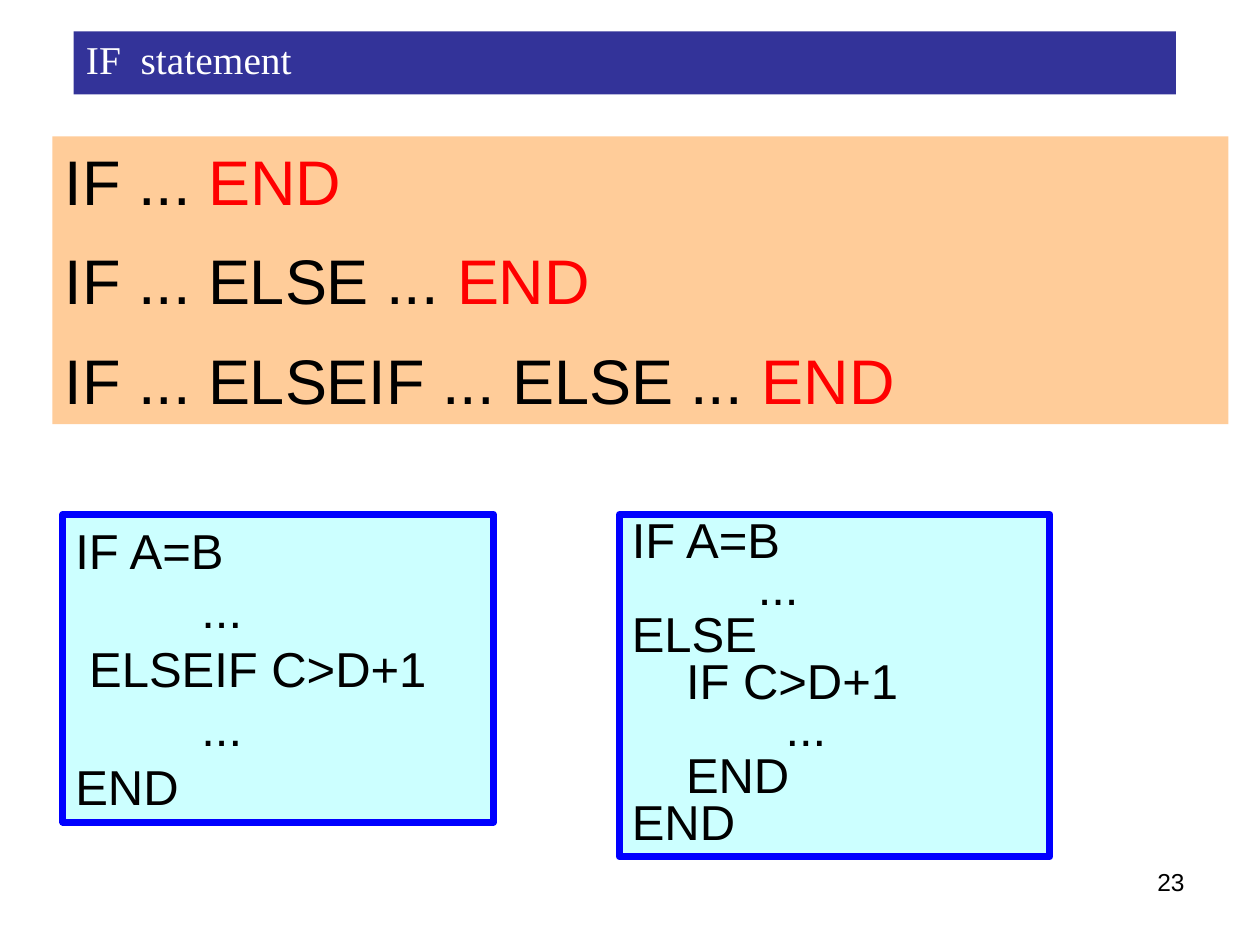
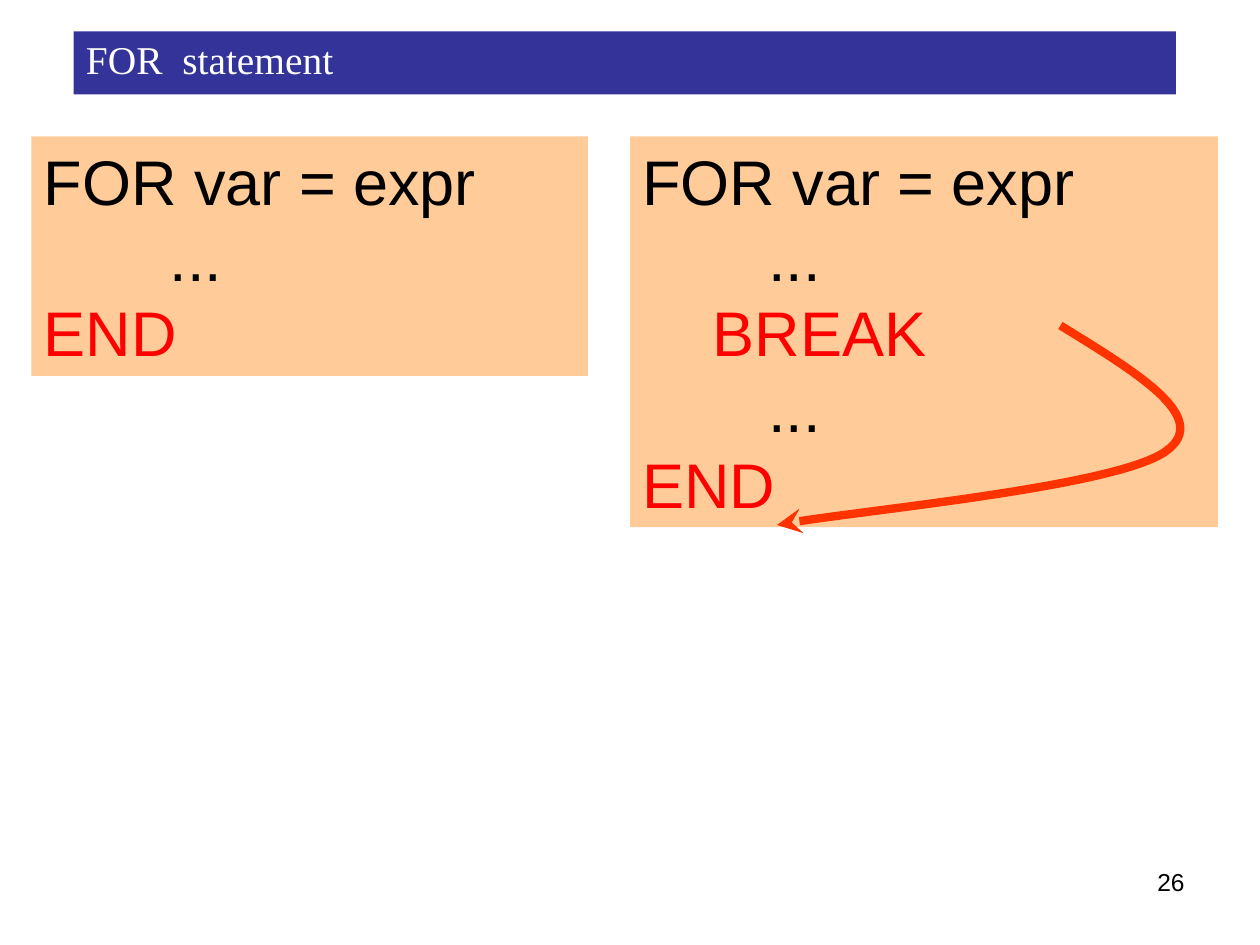
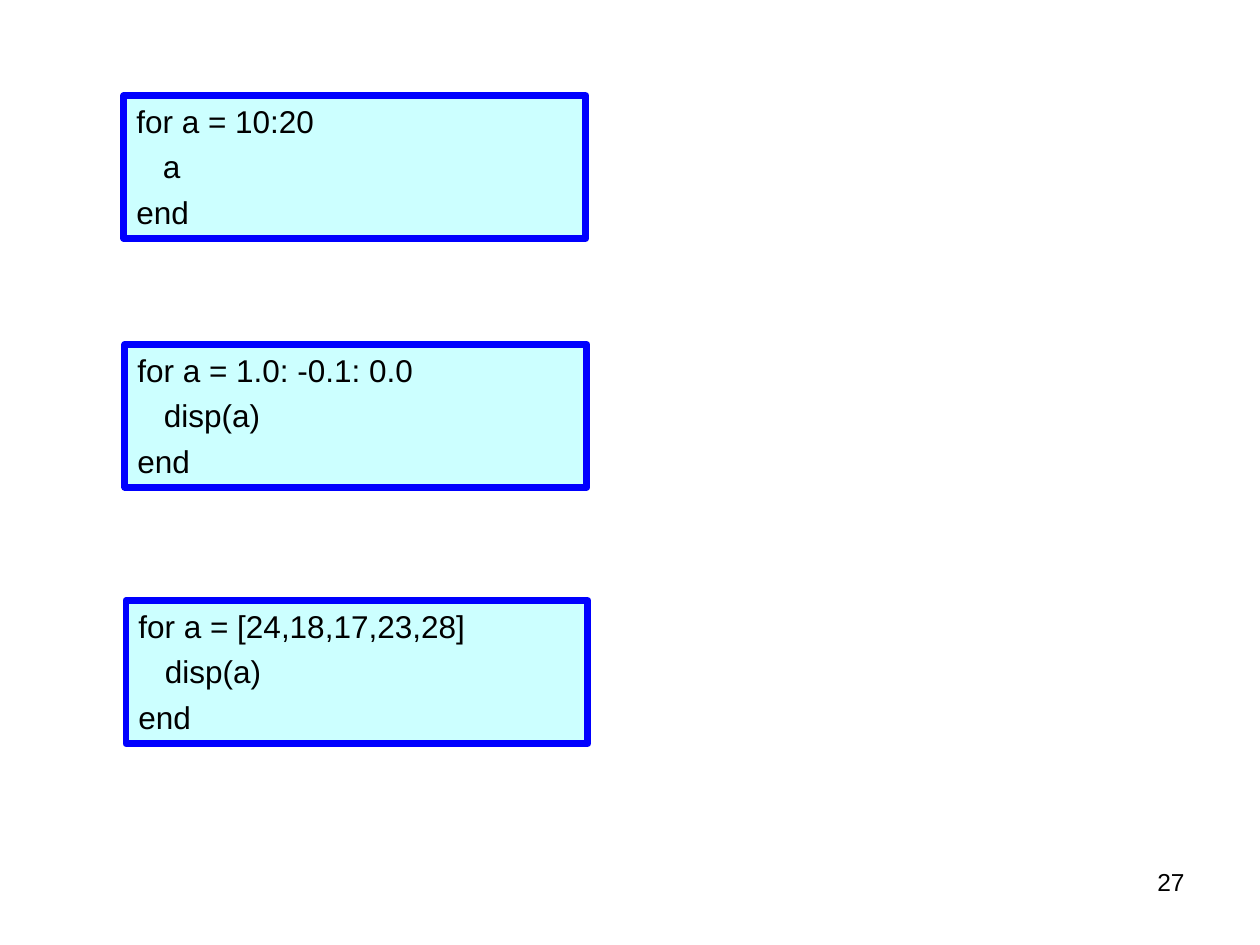
"""Build three slides on the IF and FOR statements of a programming language."""
from dataclasses import dataclass
from typing import Optional

from lxml.etree import SubElement
from pptx import Presentation
from pptx.dml.color import RGBColor
from pptx.enum.shapes import MSO_SHAPE as Preset
from pptx.enum.text import MSO_ANCHOR as Anchor, MSO_AUTO_SIZE as AutoSize, PP_ALIGN as Align
from pptx.oxml.ns import qn
from pptx.shapes.autoshape import Shape
from pptx.slide import Slide
from pptx.text.text import TextFrame
from pptx.util import Emu, Inches, Pt

COLORS = {
    "title": "333399", "syntax": "FFCC99", "code": "CCFFFF", "border": "0000FF",
    "text": "000000", "keyword": "FF0000", "light": "FFFFFF", "jump": "FF3300",
}
WIDTH, HEIGHT = Inches(10), Inches(7.5)
COLUMNS, ROWS = 120, 90
BLANK_LAYOUT = 6
TAB = 1.0


@dataclass(frozen=True)
class Area:
    """Place and size in grid columns and rows."""
    column: float
    row: float
    width: float
    height: float


@dataclass(frozen=True)
class Line:
    """One line of code: plain text, a red keyword and an indent in inches."""
    text: str = ""
    keyword: str = ""
    indent: float = 0


@dataclass(frozen=True)
class Style:
    """Look of a text panel."""
    fill: str
    size: float
    border: Optional[str] = None
    before: float = 0
    spacing: float = 1


@dataclass(frozen=True)
class Panel:
    """A filled rectangle holding lines of code."""
    area: Area
    style: Style
    lines: tuple[Line, ...]


@dataclass(frozen=True)
class Page:
    """The content of one slide."""
    number: int
    panels: tuple[Panel, ...]
    title: str = ""
    jump: tuple[tuple[float, float], ...] = ()


SYNTAX = Style("syntax", 36)
SPACED_SYNTAX = Style("syntax", 36, before=13.5)
CODE = Style("code", 28, "border")
TIGHT_CODE = Style("code", 28, "border", spacing=0.8)
SMALL_CODE = Style("code", 18, "border", before=4.5)

TITLE_AREA = Area(7, 3, 105, 6)
NUMBER_AREA = Area(86, 82, 28, 6.25)
DOTS = Line("...", indent=TAB)

LOOPS = (
    (9.1, "for a = 10:20", "a"),
    (32.8, "for a = 1.0: -0.1: 0.0", "disp(a)"),
    (57.2, "for a = [24,18,17,23,28]", "disp(a)"),
)

PAGES = (
    Page(23, (
        Panel(Area(5, 13, 112, 27.4), SPACED_SYNTAX, (
            Line("IF ... ", "END"),
            Line("IF ... ELSE ... ", "END"),
            Line("IF ... ELSEIF ... ELSE ... ", "END"),
        )),
        Panel(Area(6, 49, 41, 29.3), CODE, (
            Line("IF A=B"), DOTS, Line("ELSEIF C>D+1", indent=0.11), DOTS, Line("END"),
        )),
        Panel(Area(59, 49, 41, 32.6), TIGHT_CODE, (
            Line("IF A=B"), DOTS, Line("ELSE"), Line("IF C>D+1", indent=0.43),
            Line("...", indent=1.22), Line("END", indent=0.43), Line("END"),
        )),
    ), "IF  statement"),
    Page(26, (
        Panel(Area(3, 13, 53, 22.8), SYNTAX, (
            Line("FOR var = expr"), DOTS, Line(keyword="END"),
        )),
        Panel(Area(60, 13, 56, 37.2), SYNTAX, (
            Line("FOR var = expr"), DOTS, Line(keyword="BREAK", indent=0.56), DOTS,
            Line(keyword="END"),
        )),
    ), "FOR  statement", (
        (101, 31), (108.1, 35.4), (115.6, 39.8), (111, 43),
        (106.5, 46.2), (80.2, 48.8), (74, 50),
    )),
    Page(27, tuple(
        Panel(Area(11.8 + 0.1 * index, row, 44, 13.6), SMALL_CODE,
              (Line(head), Line(body, indent=0.21), Line("end")))
        for index, (row, head, body) in enumerate(LOOPS)
    )),
)


def rgb(name: str) -> RGBColor:
    """Return a palette colour."""
    return RGBColor.from_string(COLORS[name])


def grid_x(column: float) -> Emu:
    """Turn columns into a length."""
    return Emu(round(WIDTH * column / COLUMNS))


def grid_y(row: float) -> Emu:
    """Turn rows into a length."""
    return Emu(round(HEIGHT * row / ROWS))


def bounds(area: Area) -> tuple[Emu, Emu, Emu, Emu]:
    """Return left, top, width and height of an area."""
    return grid_x(area.column), grid_y(area.row), grid_x(area.width), grid_y(area.height)


def write_text(frame: TextFrame, *lines: Line, size: float, color: str = "text",
               font: str = "Arial", align: Align = Align.LEFT, anchor: Anchor = Anchor.TOP,
               before: float = 0, spacing: float = 1) -> None:
    """Write lines into a text frame with one format."""
    frame.word_wrap = True
    frame.vertical_anchor = anchor
    for index, line in enumerate(lines):
        paragraph = frame.add_paragraph() if index else frame.paragraphs[0]
        paragraph.alignment = align
        paragraph.space_before = Pt(before)
        paragraph.line_spacing = spacing
        if line.indent:
            properties = paragraph._p.get_or_add_pPr()
            properties.set("marL", str(Inches(line.indent)))
            properties.set("indent", "0")
        for text, run_color in ((line.text, color), (line.keyword, "keyword")):
            if text:
                run = paragraph.add_run()
                run.text = text
                run.font.name = font
                run.font.size = Pt(size)
                run.font.color.rgb = rgb(run_color)


def add_box(slide: Slide, area: Area, fill: str, border: Optional[str] = None) -> Shape:
    """Add a filled rectangle with an optional border."""
    box = slide.shapes.add_shape(Preset.RECTANGLE, *bounds(area))
    box.shadow.inherit = False
    box.fill.solid()
    box.fill.fore_color.rgb = rgb(fill)
    if border:
        box.line.color.rgb = rgb(border)
        box.line.width = Pt(4)
    else:
        box.line.fill.background()
    return box


def add_panel(slide: Slide, panel: Panel) -> None:
    """Add a panel of code."""
    style = panel.style
    frame = add_box(slide, panel.area, style.fill, style.border).text_frame
    write_text(frame, *panel.lines, size=style.size, before=style.before, spacing=style.spacing)
    frame.auto_size = AutoSize.SHAPE_TO_FIT_TEXT


def add_title(slide: Slide, title: str) -> None:
    """Add the title band."""
    band = add_box(slide, TITLE_AREA, "title")
    write_text(band.text_frame, Line(title), size=22.5, color="light",
               font="Times New Roman", anchor=Anchor.MIDDLE, spacing=0.8)


def add_number(slide: Slide, number: int) -> None:
    """Add the slide number."""
    box = slide.shapes.add_textbox(*bounds(NUMBER_AREA))
    write_text(box.text_frame, Line(str(number)), size=14, align=Align.RIGHT)


def add_jump(slide: Slide, points: tuple[tuple[float, float], ...]) -> None:
    """Add a curved arrow through a start point and triples of Bezier points."""
    start, *others = [(grid_x(column), grid_y(row)) for column, row in points]
    builder = slide.shapes.build_freeform(*start)
    builder.add_line_segments(others, close=False)
    arrow = builder.convert_to_shape()
    segments = arrow._element.xpath(".//a:lnTo")
    for first in range(0, len(segments), 3):
        curve, *controls = segments[first:first + 3]
        bezier = SubElement(curve.getparent(), qn("a:cubicBezTo"))
        for segment in (curve, *controls):
            bezier.append(segment[0])
            segment.getparent().remove(segment)
    arrow.shadow.inherit = False
    arrow.fill.background()
    arrow.line.color.rgb = rgb("jump")
    arrow.line.width = Pt(4.75)
    SubElement(arrow.line._get_or_add_ln(), qn("a:tailEnd"), type="stealth")


def main() -> None:
    """Build and save the presentation."""
    presentation = Presentation()
    presentation.slide_width, presentation.slide_height = WIDTH, HEIGHT
    for page in PAGES:
        slide = presentation.slides.add_slide(presentation.slide_layouts[BLANK_LAYOUT])
        add_number(slide, page.number)
        if page.title:
            add_title(slide, page.title)
        for panel in page.panels:
            add_panel(slide, panel)
        if page.jump:
            add_jump(slide, page.jump)
    presentation.save("out.pptx")


if __name__ == "__main__":
    main()
